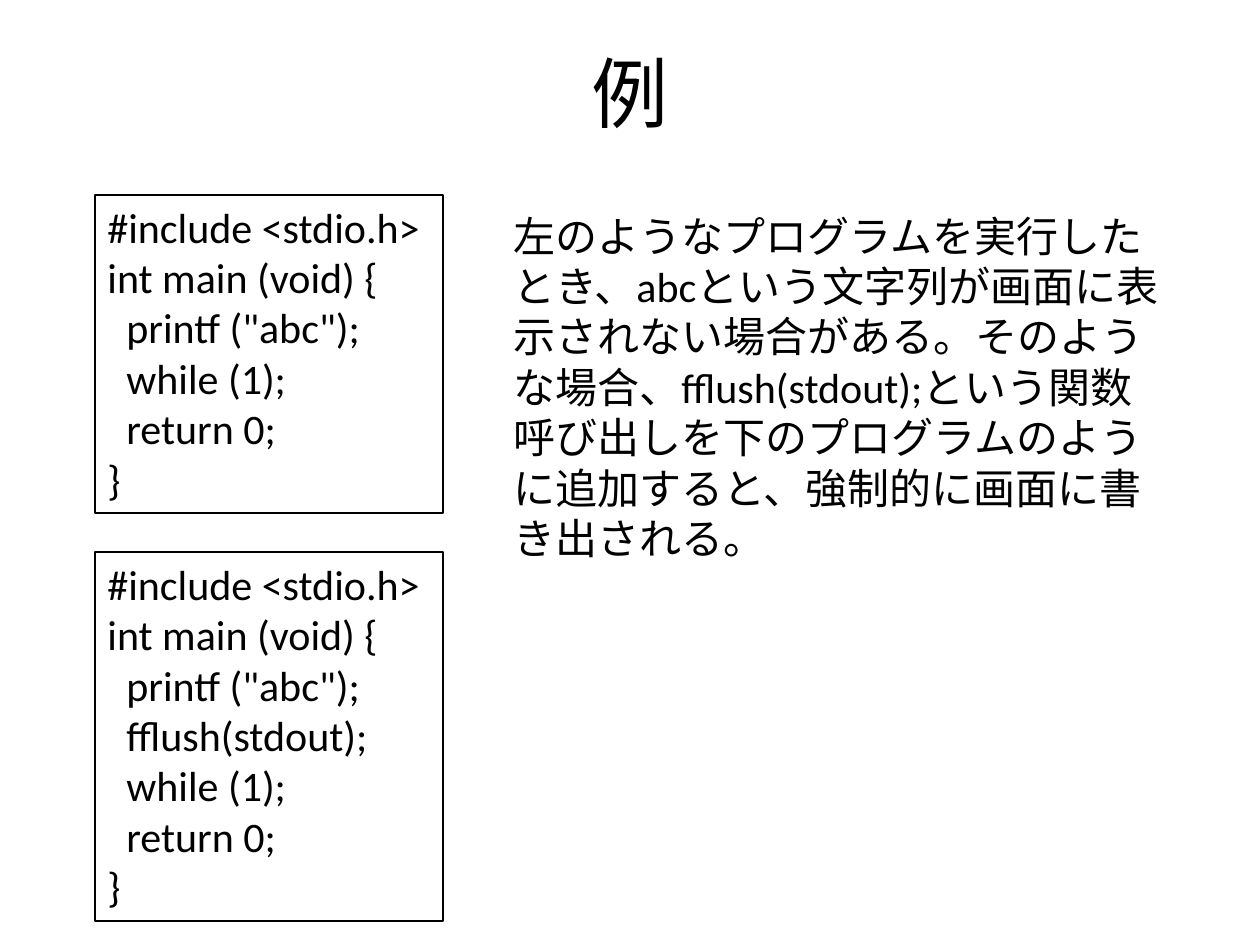
import pptx
import pptx.dml.color
import pptx.enum.shapes
import pptx.enum.text
import pptx.util

PX = pptx.util.Inches(1) / 126
COLORS = {"ink": "000000"}
FONT = "Calibri"

TITLE = "例"
PROGRAM = [
    "#include <stdio.h>",
    "int main (void) {",
    '  printf ("abc");',
    "  while (1);",
    "  return 0;",
    "}",
]
FLUSHED_PROGRAM = PROGRAM[:3] + ["  fflush(stdout);"] + PROGRAM[3:]
EXPLANATION = (
    "左のようなプログラムを実行したとき、abcという文字列が画面に表示されない場合がある。"
    "そのような場合、fflush(stdout);という関数呼び出しを下のプログラムのように追加すると、"
    "強制的に画面に書き出される。"
)


def px(length):
    """Turn px into EMU."""
    return pptx.util.Emu(round(length * PX))


def ink():
    """Return the colour of text and outlines."""
    return pptx.dml.color.RGBColor.from_string(COLORS["ink"])


def write_lines(frame, lines, size, align=pptx.enum.text.PP_ALIGN.LEFT):
    """Fill a text frame with one paragraph per line."""
    frame.word_wrap = True
    for index, line in enumerate(lines):
        paragraph = frame.add_paragraph() if index else frame.paragraphs[0]
        paragraph.alignment = align
        run = paragraph.add_run()
        run.text = line
        run.font.name = FONT
        run.font.size = pptx.util.Pt(size)
        run.font.color.rgb = ink()


def add_title(slide, box):
    """Place the centred slide title."""
    title = slide.shapes.add_textbox(*map(px, box))
    title.text_frame.vertical_anchor = pptx.enum.text.MSO_ANCHOR.MIDDLE
    write_lines(title.text_frame, [TITLE], 44, pptx.enum.text.PP_ALIGN.CENTER)


def add_program(slide, box, lines):
    """Place a program listing in an outlined box."""
    listing = slide.shapes.add_shape(
        pptx.enum.shapes.MSO_SHAPE.RECTANGLE, *map(px, box))
    listing.shadow.inherit = False
    listing.fill.background()
    listing.line.color.rgb = ink()
    listing.line.width = pptx.util.Pt(0.75)
    listing.text_frame.vertical_anchor = pptx.enum.text.MSO_ANCHOR.TOP
    write_lines(listing.text_frame, lines, 24)


def add_explanation(slide, box):
    """Place the explanation beside the programs."""
    explanation = slide.shapes.add_textbox(*map(px, box))
    write_lines(explanation.text_frame, [EXPLANATION], 24)


def main():
    """Build and save the slide."""
    deck = pptx.Presentation()
    deck.slide_width, deck.slide_height = px(1260), px(945)
    slide = deck.slides.add_slide(deck.slide_layouts[6])
    add_title(slide, (63, 38, 1134, 107))
    add_program(slide, (95, 195, 348, 318), PROGRAM)
    add_explanation(slide, (501, 204, 674, 318))
    add_program(slide, (95, 552, 348, 369), FLUSHED_PROGRAM)
    deck.save("out.pptx")


if __name__ == "__main__":
    main()
